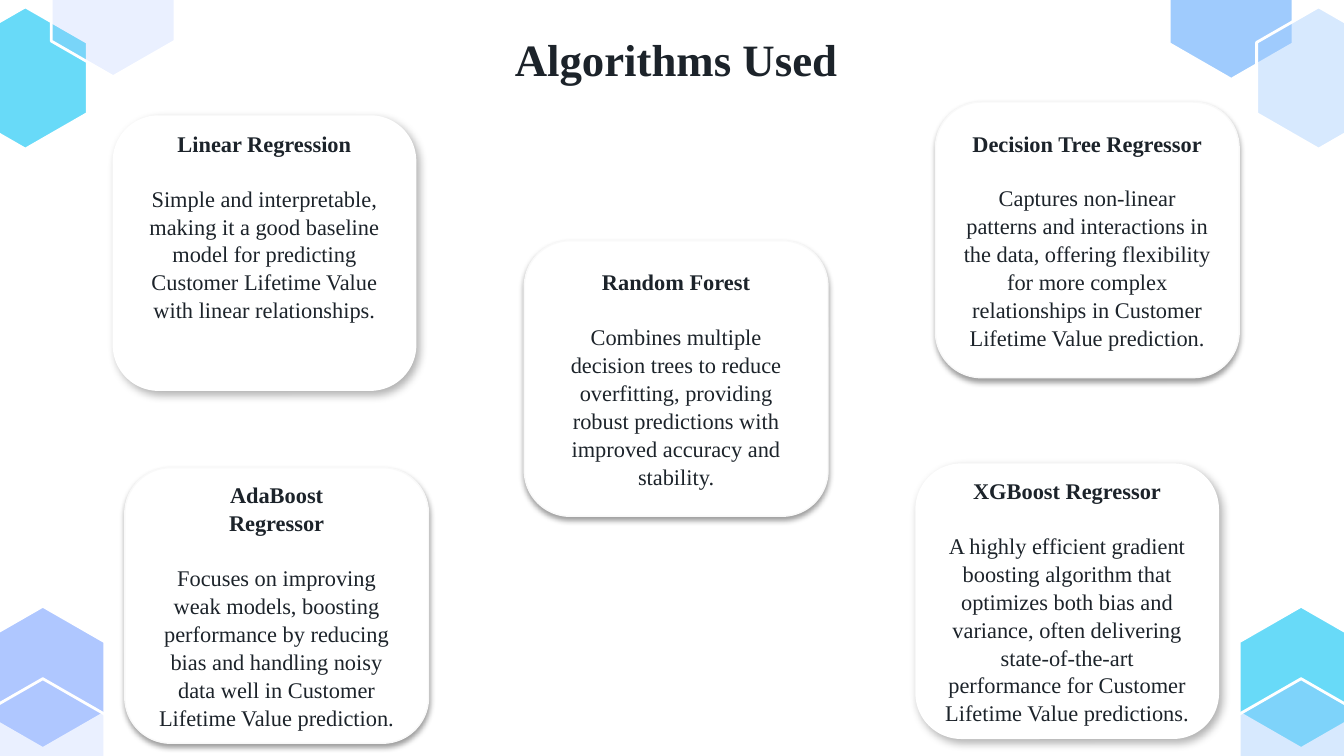
from lxml.etree import SubElement
from pptx import Presentation
from pptx.dml.color import RGBColor
from pptx.enum.shapes import MSO_SHAPE
from pptx.enum.text import MSO_ANCHOR, PP_ALIGN
from pptx.oxml.ns import qn
from pptx.util import Cm, Pt

WHITE = RGBColor(0xFF, 0xFF, 0xFF)
EDGE = RGBColor(0xF9, 0xF9, 0xF9)
INK = RGBColor(0x1C, 0x23, 0x2A)
BLACK = RGBColor(0, 0, 0)
LILAC = RGBColor(0xAF, 0xC7, 0xFF)
CYAN = RGBColor(0x68, 0xDA, 0xF8)
SKY = RGBColor(0x9F, 0xCB, 0xFD)
FONT = "Times New Roman"
HEX = (2.34, 2.69)
CARD = (5.74, 5.21)
SOFT = (30, 4.5, 2.6, 53)
DROP = (38, 3.1, 1.6, 90)

HEXES = [
    (-0.36, 11.46, LILAC, 100), (-0.36, 12.83, LILAC, 25),
    (-0.69, 0.13, CYAN, 100), (0.97, -1.24, LILAC, 25),
    (22.1, -1.19, SKY, 100), (23.75, 0.13, SKY, 41),
    (23.42, 11.46, CYAN, 100), (23.42, 12.83, SKY, 41),
]

CARDS = [
    (2.13, 2.18, SOFT, ["Linear Regression"],
     "Simple and interpretable, making it a good baseline model for "
     "predicting Customer Lifetime Value with linear relationships."),
    (17.68, 1.93, DROP, ["Decision Tree Regressor"],
     "Captures non-linear patterns and interactions in the data, offering "
     "flexibility for more complex relationships in Customer Lifetime Value "
     "prediction."),
    (9.91, 4.55, DROP, ["Random Forest"],
     "Combines multiple decision trees to reduce overfitting, providing "
     "robust predictions with improved accuracy and stability."),
    (2.36, 8.84, DROP, ["AdaBoost", "Regressor"],
     "Focuses on improving weak models, boosting performance by reducing "
     "bias and handling noisy data well in Customer Lifetime Value "
     "prediction."),
    (17.3, 8.76, SOFT, ["XGBoost Regressor"],
     "A highly efficient gradient boosting algorithm that optimizes both "
     "bias and variance, often delivering state-of-the-art performance for "
     "Customer Lifetime Value predictions."),
]


def style(para, size, bold):
    para.alignment = PP_ALIGN.CENTER
    for run in para.runs:
        run.font.name = FONT
        run.font.size = Pt(size)
        run.font.bold = bold
        run.font.color.rgb = INK


def fade(color, share):
    SubElement(color, qn("a:alpha"), val=str(share * 1000))


def shade(shape, share, blur, dist, angle):
    shape.shadow.inherit = False
    effects = shape.element.spPr.find(qn("a:effectLst"))
    outer = SubElement(effects, qn("a:outerShdw"), blurRad=str(Pt(blur)),
                       dist=str(Pt(dist)), dir=str(angle * 60000),
                       algn="t", rotWithShape="0")
    fade(SubElement(outer, qn("a:srgbClr"), val=str(BLACK)), share)


def add_title(slide, left, top, width, height):
    title = slide.shapes.title
    title.left, title.top = Cm(left), Cm(top)
    title.width, title.height = Cm(width), Cm(height)
    frame = title.text_frame
    frame.text = "Algorithms Used"
    frame.vertical_anchor = MSO_ANCHOR.MIDDLE
    style(frame.paragraphs[0], 24, True)


def add_hex(slide, left, top, width, height, color, share):
    def spot(across, down):
        return Cm(left + across * width), Cm(top + down * height)

    pen = slide.shapes.build_freeform(*spot(0.5, 0))
    pen.add_line_segments([spot(0, 0.25), spot(0, 0.75), spot(0.5, 1),
                           spot(1, 0.75), spot(1, 0.25)])
    shape = pen.convert_to_shape()
    shape.shadow.inherit = False
    shape.fill.solid()
    shape.fill.fore_color.rgb = color
    if share < 100:
        fade(next(shape.element.spPr.iter(qn("a:srgbClr"))), share)
    shape.line.color.rgb = WHITE
    shape.line.width = Pt(1.5)


def add_card(slide, left, top, width, height, shadow, heads, body):
    card = slide.shapes.add_shape(MSO_SHAPE.ROUNDED_RECTANGLE, Cm(left),
                                  Cm(top), Cm(width), Cm(height))
    card.fill.solid()
    card.fill.fore_color.rgb = WHITE
    if shadow == DROP:
        card.line.color.rgb = EDGE
        card.line.width = Pt(0.75)
    else:
        card.line.fill.background()
    shade(card, *shadow)
    frame = card.text_frame
    frame.word_wrap = True
    frame.vertical_anchor = MSO_ANCHOR.MIDDLE
    frame.text = "\n".join([*heads, body])
    for spot, para in enumerate(frame.paragraphs):
        style(para, 12, spot < len(heads))
        para.line_spacing = 1.04
    frame.paragraphs[len(heads) - 1].space_after = Pt(14.4)
    return card


def main():
    deck = Presentation()
    deck.slide_width, deck.slide_height = Cm(25.4), Cm(14.29)
    slide = deck.slides.add_slide(deck.slide_layouts[5])
    add_title(slide, 8.05, 0.3, 9.45, 1.6)
    for left, top, color, share in HEXES:
        add_hex(slide, left, top, *HEX, color, share)
    cards = [add_card(slide, left, top, *CARD, *rest)
             for left, top, *rest in CARDS]
    cards[0].text_frame.margin_top = 0
    cards[0].text_frame.margin_bottom = Cm(1.02)
    deck.save("out.pptx")


if __name__ == "__main__":
    main()
